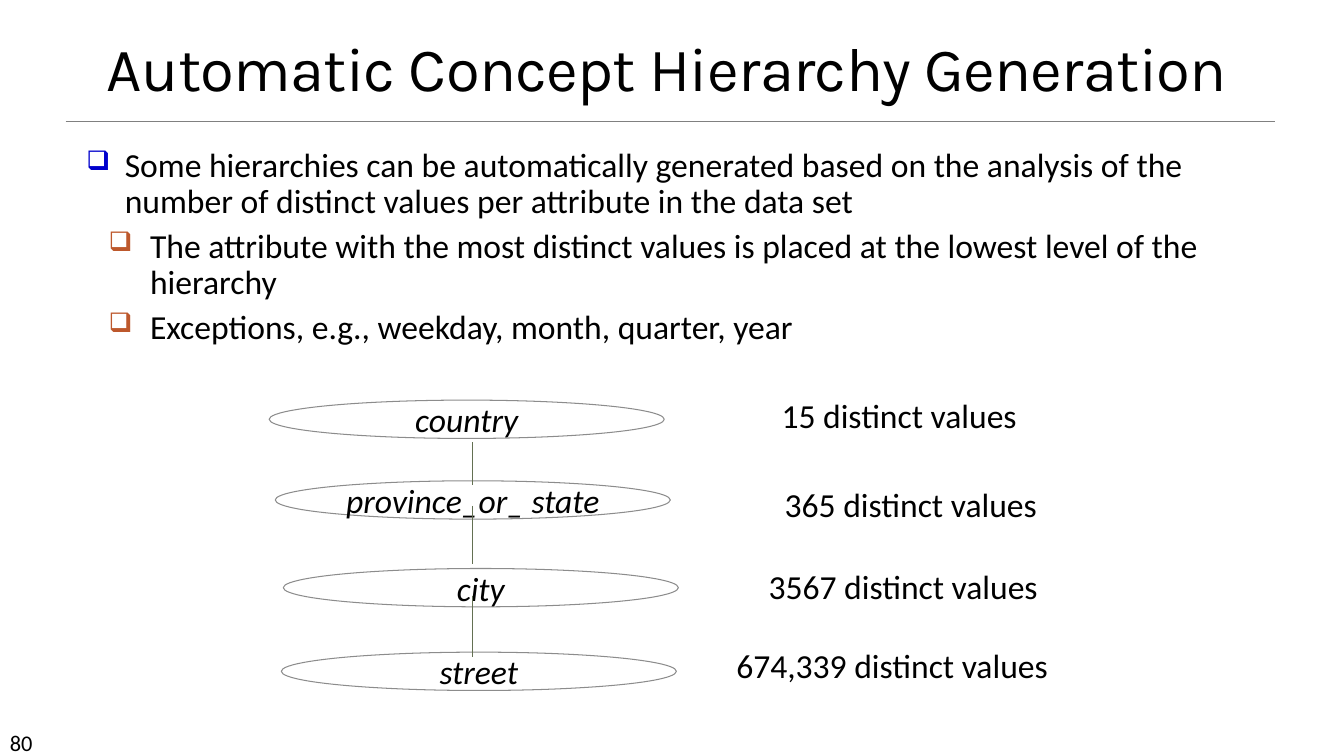
from lxml.etree import SubElement
from pptx import Presentation
from pptx.dml.color import RGBColor
from pptx.enum.shapes import MSO_CONNECTOR, MSO_SHAPE
from pptx.enum.text import MSO_ANCHOR, MSO_AUTO_SIZE, PP_ALIGN
from pptx.oxml.ns import qn
from pptx.util import Inches, Pt

BLACK = RGBColor(0x00, 0x00, 0x00)
RULE_GRAY = RGBColor(0x80, 0x80, 0x80)
OUTLINE_GRAY = RGBColor(0x8C, 0x8C, 0x8C)
LINK_GREEN = RGBColor(0x63, 0x70, 0x52)
BULLET_BLUE = RGBColor(0x00, 0x00, 0xCC)
BULLET_ORANGE = RGBColor(0xBD, 0x58, 0x2C)

presentation = Presentation()
presentation.slide_width = Inches(13.33)
presentation.slide_height = Inches(7.5)
COLUMN = presentation.slide_width / 100
ROW = presentation.slide_height / 100
slide = presentation.slides.add_slide(presentation.slide_layouts[5])


def grid(left, top, right, bottom):
    return int(left * COLUMN), int(top * ROW), int(right * COLUMN), int(bottom * ROW)


def style(paragraph, size, font="Calibri", italic=False):
    for run in paragraph.runs:
        run.font.name = font
        run.font.size = Pt(size)
        run.font.italic = italic
        run.font.color.rgb = BLACK


title = slide.shapes.title
title.left, title.top, title.width, title.height = grid(3.98, 4.4, 91.28, 10)
title.text_frame.text = "Automatic Concept Hierarchy Generation"
title.text_frame.auto_size = MSO_AUTO_SIZE.NONE
title.text_frame.vertical_anchor = MSO_ANCHOR.BOTTOM
heading = title.text_frame.paragraphs[0]
heading.alignment = PP_ALIGN.CENTER
heading.line_spacing = 0.85
style(heading, 44, "Karla")
heading.runs[0].font._element.set("spc", "-50")

body = slide.shapes.add_textbox(*grid(5.7, 18.93, 87.53, 33.33))
body.text_frame.word_wrap = True
bullets = [
    (0, "Some hierarchies can be automatically generated based on the analysis of the "
        "number of distinct values per attribute in the data set"),
    (1, "The attribute with the most distinct values is placed at the lowest level of the hierarchy"),
    (1, "Exceptions, e.g., weekday, month, quarter, year"),
]
levels = [(0.38, -0.38, BULLET_BLUE), (0.63, -0.41, BULLET_ORANGE)]
for index, (level, text) in enumerate(bullets):
    paragraph = body.text_frame.add_paragraph() if index else body.text_frame.paragraphs[0]
    paragraph.text = text
    paragraph.level = level
    paragraph.line_spacing = 0.9
    paragraph.space_before = Pt(6 if index else 0)
    margin, indent, color = levels[level]
    properties = paragraph._p.get_or_add_pPr()
    properties.set("marL", str(Inches(margin)))
    properties.set("indent", str(Inches(indent)))
    bullet_color = SubElement(properties, qn("a:buClr"))
    SubElement(bullet_color, qn("a:srgbClr"), val=str(color))
    SubElement(properties, qn("a:buSzPct"), val="80000")
    SubElement(properties, qn("a:buChar"), char="❑")
    style(paragraph, 24)

ellipses = [
    ("country", 20.03, 52.93),
    ("province_or_ state", 20.48, 63.6),
    ("city", 21.08, 75.2),
    ("street", 20.93, 86.27),
]
for text, left, top in ellipses:
    ellipse = slide.shapes.add_shape(MSO_SHAPE.OVAL, *grid(left, top, 29.4, 5.07))
    ellipse.shadow.inherit = False
    ellipse.fill.background()
    ellipse.line.color.rgb = OUTLINE_GRAY
    ellipse.line.width = Pt(0.75)
    ellipse.text_frame.text = text
    ellipse.text_frame.word_wrap = False
    ellipse.text_frame.vertical_anchor = MSO_ANCHOR.MIDDLE
    ellipse.text_frame.paragraphs[0].alignment = PP_ALIGN.CENTER
    style(ellipse.text_frame.paragraphs[0], 24, italic=True)

lines = [
    (4.88, 16, 94.88, 16, RULE_GRAY, 0.5),
    (35.18, 58.53, 35.18, 64.13, LINK_GREEN, 0.75),
    (35.18, 66.93, 35.18, 74.67, LINK_GREEN, 0.75),
    (35.18, 78.8, 35.18, 86.93, LINK_GREEN, 0.75),
]
for *ends, color, width in lines:
    connector = slide.shapes.add_connector(MSO_CONNECTOR.STRAIGHT, *grid(*ends))
    connector.line.color.rgb = color
    connector.line.width = Pt(width)
    SubElement(connector._element.spPr, qn("a:effectLst"))

labels = [
    ("15 distinct values", 57.3, 51.6, 19.2),
    ("365 distinct values", 57.53, 63.33, 20.48),
    ("3567 distinct values", 56.33, 74.13, 21.75),
    ("674,339 distinct values", 53.93, 84.67, 24.9),
]
for text, left, top, width in labels:
    label = slide.shapes.add_textbox(*grid(left, top, width, 6.8))
    label.text_frame.text = text
    label.text_frame.word_wrap = False
    label.text_frame.paragraphs[0].alignment = PP_ALIGN.CENTER
    style(label.text_frame.paragraphs[0], 24)

page_number = slide.shapes.add_textbox(*grid(0, 95.73, 8.78, 4))
page_number.text_frame.word_wrap = True
page_number.text_frame.text = "80"
style(page_number.text_frame.paragraphs[0], 16)

presentation.save("out.pptx")
